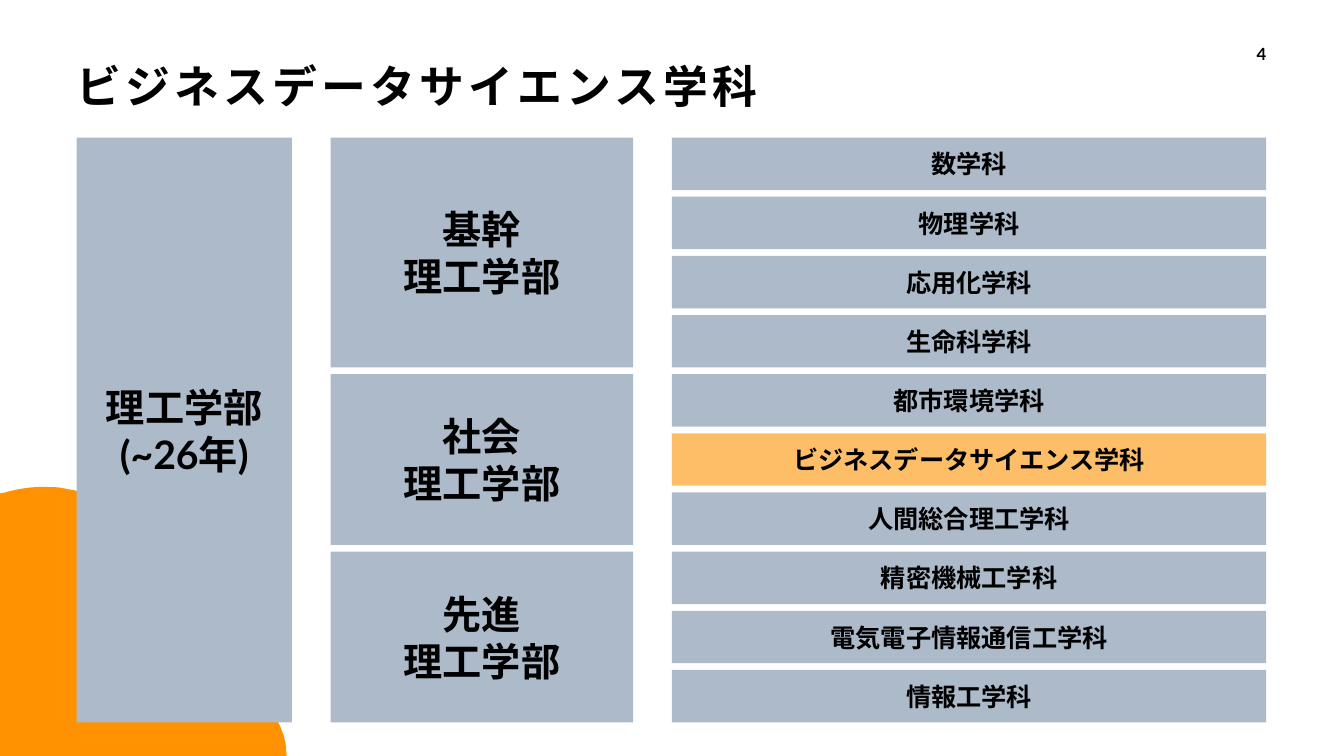
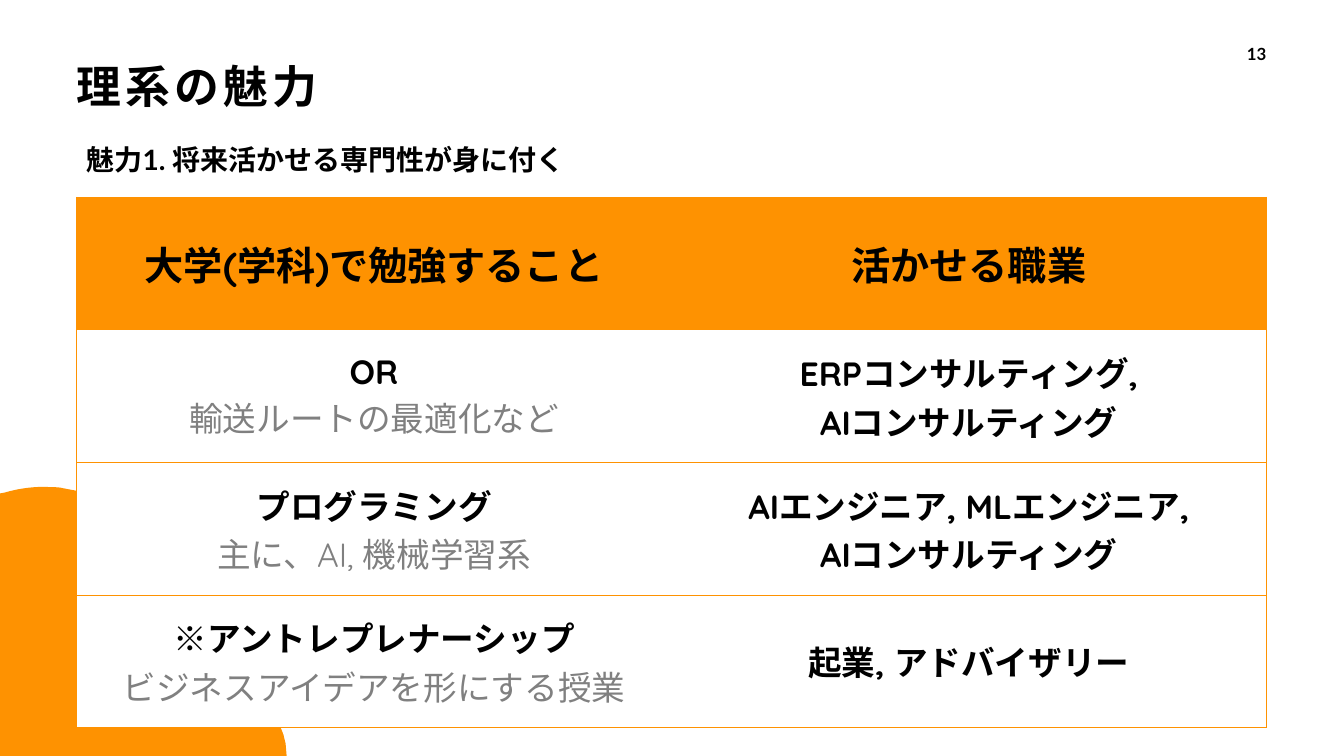
from dataclasses import dataclass

from lxml.etree import SubElement
from pptx import Presentation
from pptx.dml.color import RGBColor
from pptx.enum.lang import MSO_LANGUAGE_ID
from pptx.enum.shapes import MSO_SHAPE
from pptx.enum.text import MSO_ANCHOR, PP_ALIGN
from pptx.oxml.ns import qn
from pptx.util import Emu, Pt


@dataclass(frozen=True)
class Theme:
    accent: str = "FE9201"
    highlight: str = "FEBE67"
    box: str = "ADBACA"
    paper: str = "FFFFFF"
    ink: str = "000000"
    muted: str = "808080"
    font: str = "Lato"
    table_font: str = "Quicksand"
    title: int = 32
    large: int = 28
    cell: int = 24
    lead: int = 20
    item: int = 18
    number: int = 12


THEME = Theme()
SCALE = 9525
SLIDE_W, SLIDE_H = 1280, 720
LEFT, RIGHT, TOP = 73, 1206, 131

SCHOOL = {
    "title": "ビジネスデータサイエンス学科",
    "number": "4",
    "former": ["理工学部", "(~26年)"],
    "faculties": [
        (["基幹", "理工学部"], 4),
        (["社会", "理工学部"], 3),
        (["先進", "理工学部"], 3),
    ],
    "departments": [
        "数学科", "物理学科", "応用化学科", "生命科学科", "都市環境学科",
        "ビジネスデータサイエンス学科", "人間総合理工学科", "精密機械工学科",
        "電気電子情報通信工学科", "情報工学科",
    ],
}

APPEAL = {
    "title": "理系の魅力",
    "number": "13",
    "lead": "魅力1. 将来活かせる専門性が身に付く",
    "header": ["大学(学科)で勉強すること", "活かせる職業"],
    "rows": [
        (("OR", "輸送ルートの最適化など"), ["ERPコンサルティング,", "AIコンサルティング"]),
        (("プログラミング", "主に、AI, 機械学習系"),
         ["AIエンジニア, MLエンジニア,", "AIコンサルティング"]),
        (("※アントレプレナーシップ", "ビジネスアイデアを形にする授業"),
         ["起業, アドバイザリー"]),
    ],
}

BLOB_START = (48, 464)
BLOB = [
    [(52, 464), (56, 464), (60, 465)],
    [(107, 471), (137, 509), (143, 555)],
    [(145, 571), (140, 595), (152, 610)],
    [(162, 623), (183, 626), (199, 632)],
    [(231, 644), (266, 674), (272, 708)],
    [(273, 720)], [(0, 720)], [(0, 470)], [(5, 469)],
    [(19, 465), (34, 463), (48, 464)],
]


def px(value):
    return Emu(round(value * SCALE))


def rgb(code):
    return RGBColor.from_string(code)


def paint(target, color):
    target.fill.solid()
    target.fill.fore_color.rgb = rgb(color)


def write(frame, lines, size, font=THEME.font, align=PP_ALIGN.LEFT,
          anchor=MSO_ANCHOR.TOP, detail=False, tracking=0, leading=None):
    frame.word_wrap = True
    frame.vertical_anchor = anchor
    for index, line in enumerate(lines):
        paragraph = frame.paragraphs[0] if index == 0 else frame.add_paragraph()
        paragraph.alignment = align
        paragraph.line_spacing = leading
        run = paragraph.add_run()
        run.text = line
        quiet = detail and index > 0
        run.font.name = font
        run.font.size = Pt(size)
        run.font.bold = not quiet
        run.font.color.rgb = rgb(THEME.muted if quiet else THEME.ink)
        run.font.language_id = MSO_LANGUAGE_ID.JAPANESE
        if tracking:
            run.font._element.set("spc", str(tracking * 100))


def add_label(slide, area, lines, size, margins=None, **style):
    frame = slide.shapes.add_textbox(*map(px, area)).text_frame
    if margins:
        frame.margin_left, frame.margin_right = map(px, margins)
    write(frame, lines, size, **style)


def add_box(slide, area, lines, size, color=THEME.box):
    box = slide.shapes.add_shape(MSO_SHAPE.RECTANGLE, *map(px, area))
    box.shadow.inherit = False
    paint(box, color)
    box.line.fill.background()
    write(box.text_frame, lines, size, align=PP_ALIGN.CENTER, anchor=MSO_ANCHOR.MIDDLE)


def outline(start, segments, steps=12):
    points, last = [], start
    for segment in segments:
        if len(segment) == 1:
            points.append(segment[0])
        else:
            curve = [last, *segment]
            for step in range(1, steps + 1):
                t = step / steps
                weights = ((1 - t) ** 3, 3 * t * (1 - t) ** 2, 3 * t * t * (1 - t), t ** 3)
                points.append(tuple(sum(w * p[axis] for w, p in zip(weights, curve))
                                    for axis in (0, 1)))
        last = segment[-1]
    return points


def add_blob(slide):
    builder = slide.shapes.build_freeform(*map(px, BLOB_START))
    builder.add_line_segments([(px(x), px(y)) for x, y in outline(BLOB_START, BLOB)])
    blob = builder.convert_to_shape()
    blob.shadow.inherit = False
    paint(blob, THEME.accent)
    blob.line.fill.background()


def start_slide(deck, content):
    slide = deck.slides.add_slide(deck.slide_layouts[6])
    add_blob(slide)
    add_label(slide, (LEFT, 57, 690, 75), [content["title"]], THEME.title,
              margins=(0, 10), tracking=3, leading=0.9)
    add_label(slide, (RIGHT - 36, 16, 36, 50), [content["number"]], THEME.number,
              margins=(0, 0), align=PP_ALIGN.RIGHT, anchor=MSO_ANCHOR.BOTTOM)
    return slide


def build_school(deck):
    slide = start_slide(deck, SCHOOL)
    height, row = 557, 50
    departments = SCHOOL["departments"]
    gap = (height - row * len(departments)) / (len(departments) - 1)
    pitch = row + gap

    add_box(slide, (LEFT, TOP, 205, height), SCHOOL["former"], THEME.large)
    first = 0
    for lines, span in SCHOOL["faculties"]:
        add_box(slide, (315, TOP + first * pitch, 288, span * pitch - gap),
                lines, THEME.large)
        first += span
    for index, department in enumerate(departments):
        color = THEME.highlight if department == SCHOOL["title"] else THEME.box
        add_box(slide, (640, TOP + index * pitch, RIGHT - 640, row),
                [department], THEME.item, color)


def add_borders(cell, sides):
    properties = cell._tc.get_or_add_tcPr()
    for side in sides:
        line = SubElement(properties, qn(f"a:ln{side}"), w=str(Pt(0.75)))
        SubElement(SubElement(line, qn("a:solidFill")), qn("a:srgbClr"), val=THEME.accent)


def build_appeal(deck):
    slide = start_slide(deck, APPEAL)
    add_label(slide, (LEFT, TOP, RIGHT - LEFT, 50), [APPEAL["lead"]], THEME.lead)
    rows = [[[heading] for heading in APPEAL["header"]], *APPEAL["rows"]]
    area = (LEFT, 188, RIGHT - LEFT, 505)
    table = slide.shapes.add_table(len(rows), 2, *map(px, area)).table
    table.horz_banding = False
    style = table._tbl.tblPr.find(qn("a:tableStyleId"))
    style.text = "{2D5ABB26-0587-4C30-8999-92F81FD0307C}"
    for r, row in enumerate(rows):
        for c, lines in enumerate(row):
            cell = table.cell(r, c)
            add_borders(cell, ("LTB", "RTB")[c])
            paint(cell, THEME.paper if r else THEME.accent)
            write(cell.text_frame, lines, THEME.cell if r else THEME.large,
                  font=THEME.table_font, align=PP_ALIGN.CENTER, detail=c == 0)
            cell.vertical_anchor = MSO_ANCHOR.MIDDLE


def main():
    deck = Presentation()
    deck.slide_width, deck.slide_height = px(SLIDE_W), px(SLIDE_H)
    build_school(deck)
    build_appeal(deck)
    deck.save("out.pptx")


if __name__ == "__main__":
    main()
